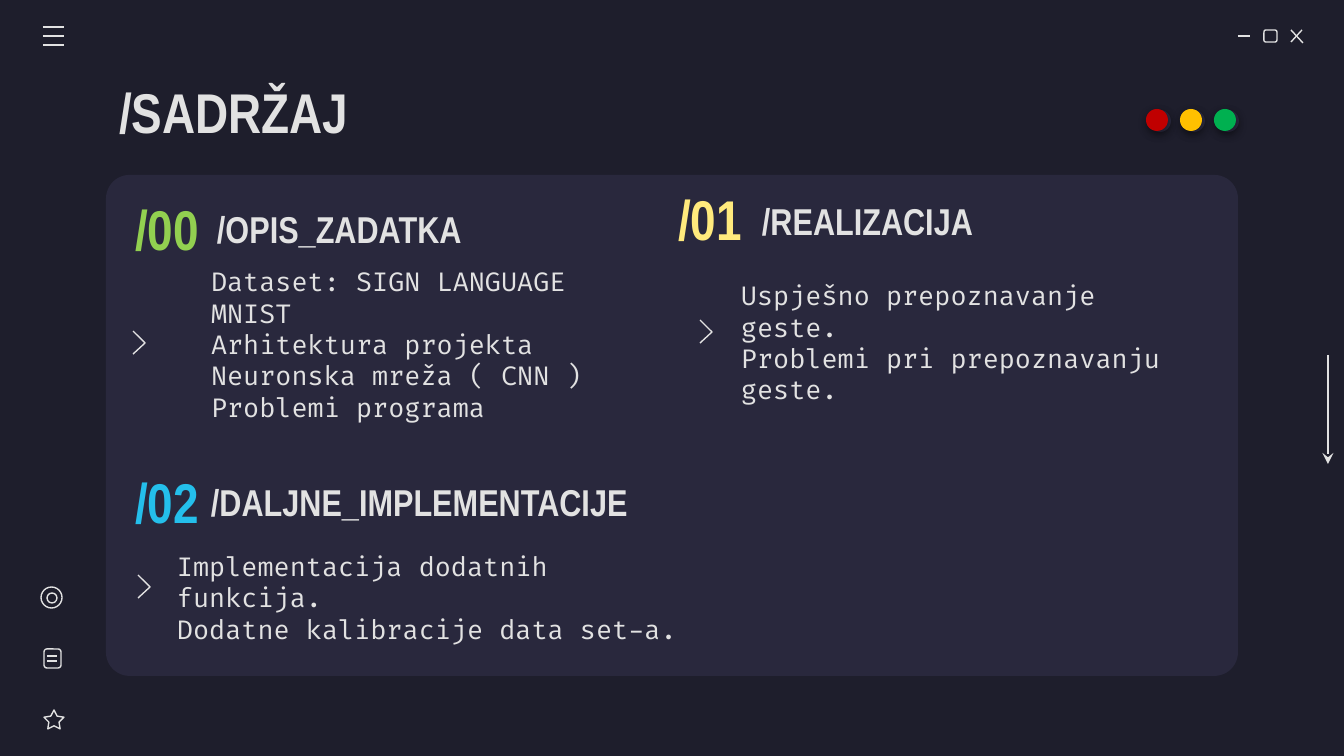
from lxml.etree import SubElement
from pptx import Presentation
from pptx.dml.color import RGBColor
from pptx.enum.shapes import MSO_CONNECTOR, MSO_SHAPE
from pptx.enum.text import MSO_ANCHOR, MSO_AUTO_SIZE, PP_ALIGN
from pptx.oxml.ns import qn
from pptx.util import Emu, Pt

EMU_PER_PX = 914400 / 134.4
NIGHT = RGBColor(0x1E, 0x1E, 0x2C)
PANEL = RGBColor(0x29, 0x28, 0x3D)
LIGHT = RGBColor(0xE2, 0xE2, 0xE2)
LIME = RGBColor(0x92, 0xD0, 0x50)
YELLOW = RGBColor(0xFF, 0xEA, 0x7D)
CYAN = RGBColor(0x24, 0xBF, 0xEB)
RED = RGBColor(0xC0, 0x00, 0x00)
AMBER = RGBColor(0xFF, 0xC0, 0x00)
GREEN = RGBColor(0x00, 0xB0, 0x50)
HEADING_FONT = "Arial Narrow"
BODY_FONT = "Fira Code"


def px(length):
    return Emu(round(length * EMU_PER_PX))


class EditorSlide:
    def __init__(self, slide):
        self.slide = slide
        self.shapes = slide.shapes
        slide.background.fill.solid()
        slide.background.fill.fore_color.rgb = NIGHT

    def frame(self, holder, box, bottom_inset=13):
        holder.left, holder.top, holder.width, holder.height = map(px, box)
        frame = holder.text_frame
        frame.word_wrap = True
        frame.auto_size = MSO_AUTO_SIZE.NONE
        frame.vertical_anchor = MSO_ANCHOR.MIDDLE
        frame.margin_left = frame.margin_top = frame.margin_right = px(13)
        frame.margin_bottom = px(bottom_inset)
        return frame

    def run(self, paragraph, text, font, size, color, bold):
        run = paragraph.add_run()
        run.text = text
        run.font.name = font
        run.font.size = Pt(size)
        run.font.bold = bold
        run.font.color.rgb = color

    def heading(self, holder, box, text, size, color=LIGHT, align=PP_ALIGN.LEFT):
        paragraph = self.frame(holder, box).paragraphs[0]
        paragraph.alignment = align
        self.run(paragraph, text, HEADING_FONT, size, color, True)

    def label(self, box, text, size, color=LIGHT, align=PP_ALIGN.LEFT):
        self.heading(self.shapes.add_textbox(0, 0, 0, 0), box, text, size, color, align)

    def topics(self, index, box, paragraphs, bottom_inset=13):
        frame = self.frame(self.slide.placeholders[index], box, bottom_inset)
        for position, lines in enumerate(paragraphs):
            paragraph = frame.add_paragraph() if position else frame.paragraphs[0]
            properties = paragraph._p.get_or_add_pPr()
            properties.set("marL", "0")
            properties.set("indent", "0")
            SubElement(properties, qn("a:buNone"))
            paragraph.alignment = PP_ALIGN.LEFT
            paragraph.space_before = Pt(0)
            for number, line in enumerate(lines):
                if number:
                    paragraph.add_line_break()
                self.run(paragraph, line, BODY_FONT, 14, LIGHT, False)

    def filled(self, kind, box, color):
        shape = self.shapes.add_shape(kind, *map(px, box))
        shape.shadow.inherit = False
        shape.fill.solid()
        shape.fill.fore_color.rgb = color
        shape.line.fill.background()
        return shape

    def panel(self, box):
        panel = self.filled(MSO_SHAPE.ROUNDED_RECTANGLE, box, PANEL)
        panel.adjustments[0] = 0.047
        self.shapes._spTree.insert(2, panel._element)

    def dot(self, box, color):
        dot = self.filled(MSO_SHAPE.OVAL, box, color)
        effects = dot._element.spPr.find(qn("a:effectLst"))
        shadow = SubElement(effects, qn("a:outerShdw"), blurRad=str(Pt(4.5)),
                            dist=str(Pt(1.5)), dir="5400000", rotWithShape="0")
        black = SubElement(shadow, qn("a:srgbClr"), val="000000")
        SubElement(black, qn("a:alpha"), val="30000")

    def stroke(self, shape):
        shape.line.color.rgb = LIGHT
        shape.line.width = Pt(0.75)

    def outline(self, kind, box):
        shape = self.shapes.add_shape(kind, *map(px, box))
        shape.shadow.inherit = False
        shape.fill.background()
        self.stroke(shape)
        return shape

    def line(self, *ends, arrow=False):
        line = self.shapes.add_connector(MSO_CONNECTOR.STRAIGHT, *map(px, ends))
        self.stroke(line)
        if arrow:
            SubElement(line.line._get_or_add_ln(), qn("a:tailEnd"), type="stealth")
        SubElement(line._element.spPr, qn("a:effectLst"))

    def chevron(self, x, y):
        builder = self.shapes.build_freeform(x, y, scale=EMU_PER_PX)
        builder.add_line_segments([(x + 12, y + 12), (x, y + 23)], close=False)
        chevron = builder.convert_to_shape()
        chevron.shadow.inherit = False
        chevron.fill.background()
        self.stroke(chevron)


def main():
    presentation = Presentation()
    presentation.slide_width = px(1344)
    presentation.slide_height = px(756)
    comparison = presentation.slide_layouts[4]
    page = EditorSlide(presentation.slides.add_slide(comparison))

    page.panel((106, 175, 1132, 501))
    page.heading(page.shapes.title, (106, 69, 1132, 85), "/SADRŽAJ", 30)

    sections = [
        ("/00", LIME, (106, 191), "/OPIS_ZADATKA", (204, 192, 403, 74)),
        ("/01", YELLOW, (649, 181), "/REALIZACIJA", (749, 183, 469, 75)),
        ("/02", CYAN, (106, 464), "/DALJNE_IMPLEMENTACIJE", (198, 464, 489, 75)),
    ]
    for number, color, corner, name, name_box in sections:
        page.label((*corner, 122, 75), number, 30, color, PP_ALIGN.CENTER)
        page.label(name_box, name, 20)

    page.topics(1, (198, 309, 475, 101), [
        ["Dataset: SIGN LANGUAGE MNIST", "Arhitektura projekta"],
        ["Neuronska mreža ( CNN )"],
        ["Problemi programa"],
    ], bottom_inset=44)
    page.topics(2, (728, 264, 482, 157), [
        ["Uspješno prepoznavanje geste.", "Problemi pri prepoznavanju geste."],
    ])
    page.topics(3, (164, 507, 546, 181), [
        ["Implementacija dodatnih funkcija.", "Dodatne kalibracije data set-a."],
    ])
    unused = page.slide.placeholders[4]._element
    unused.getparent().remove(unused)

    for corner in [(133, 331), (700, 320), (138, 575)]:
        page.chevron(*corner)

    page.line(1238, 36, 1250, 36)
    page.outline(MSO_SHAPE.ROUNDED_RECTANGLE, (1264, 30, 13, 12))
    page.line(1291, 30, 1303, 43)
    page.line(1302, 30, 1291, 42)

    for y in (27, 36, 45):
        page.line(43, y, 64, y)

    page.outline(MSO_SHAPE.OVAL, (41, 587, 21, 21))
    page.outline(MSO_SHAPE.OVAL, (47, 593, 10, 10))
    page.outline(MSO_SHAPE.ROUNDED_RECTANGLE, (44, 649, 17, 19))
    for y in (656, 661):
        page.line(47, y, 57, y)
    star = page.outline(MSO_SHAPE.STAR_5_POINT, (44, 710, 20, 19))
    star.adjustments[0] = 0.254

    page.line(1328, 355, 1328, 464, arrow=True)

    lights = (RED, AMBER, GREEN)
    for left, top, colors in [(1149, 110, [PANEL] * 3), (1146, 109, lights)]:
        for position, color in enumerate(colors):
            page.dot((left + position * 34, top, 22, 22), color)

    presentation.save("out.pptx")


if __name__ == "__main__":
    main()
